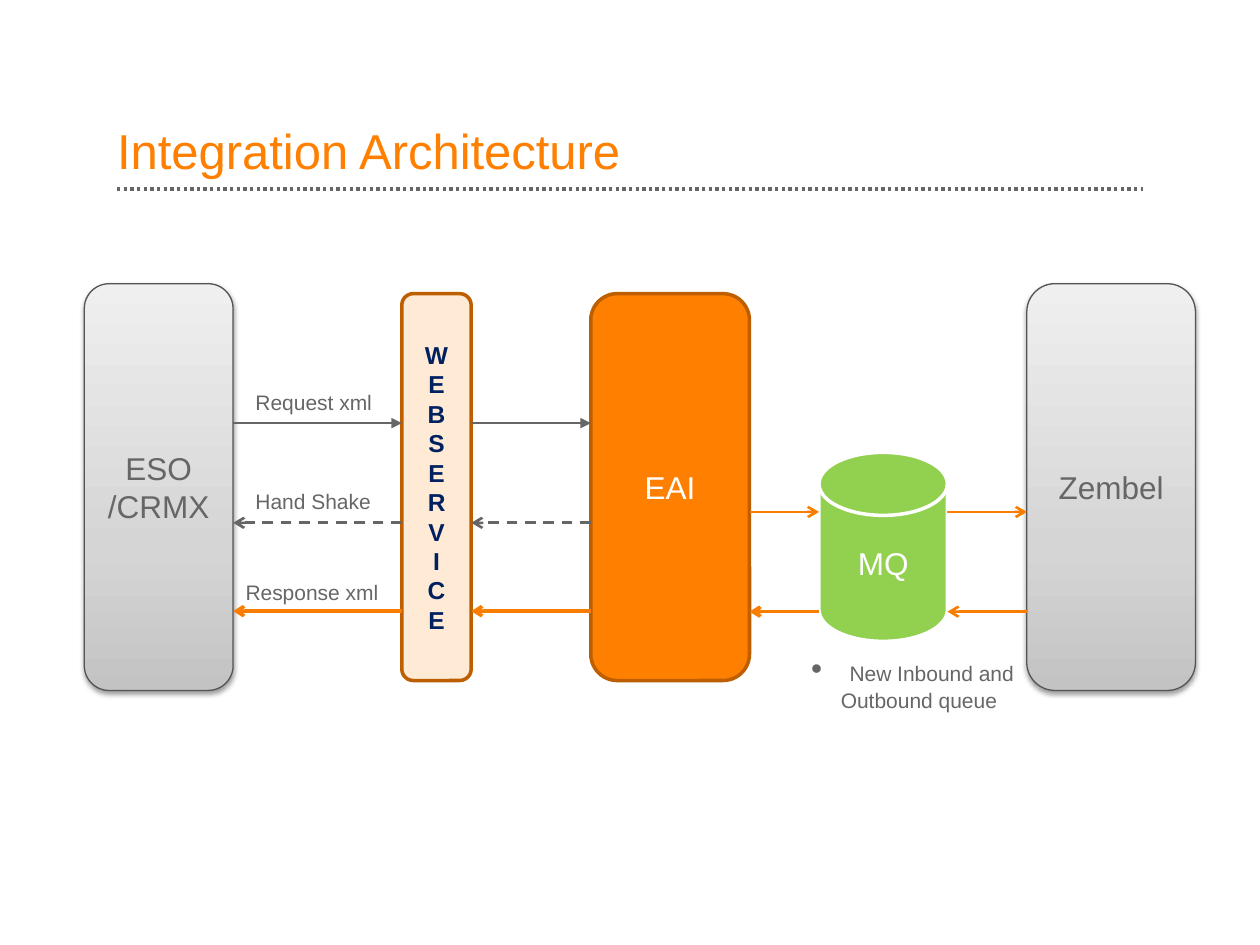
from pptx import Presentation
from pptx.util import Cm, Pt
from pptx.dml.color import RGBColor as RGB
from pptx.enum.dml import MSO_LINE_DASH_STYLE as Dash
from pptx.enum.shapes import MSO_CONNECTOR as Link, MSO_SHAPE as Form
from pptx.enum.text import MSO_ANCHOR as Anchor, PP_ALIGN as Align
from pptx.oxml import parse_xml
from pptx.oxml.ns import qn
from lxml.etree import SubElement as Sub

NS = 'xmlns:a="http://schemas.openxmlformats.org/drawingml/2006/main"'
COLORS = {
    "orange": "FF8000", "arrow": "F97D00", "rust": "BD5F00", "peach": "FFEAD5",
    "gray": "666666", "edge": "545454", "green": "92D050", "navy": "002060",
    "white": "FFFFFF",
}
STEEL = [(0, "C3C3C3"), (35, "D5D5D5"), (100, "EFEFEF")]


class Deck:
    """Holds the style and the current slide."""

    font = "Arial"

    def __init__(self, slide):
        """Keep the slide to draw on."""
        self.slide = slide
        self.shapes = slide.shapes

    def color(self, name):
        """Look up a named color."""
        return RGB.from_string(COLORS[name])

    def style(self, run, size, color, bold=False):
        """Format one run."""
        run.font.name, run.font.size = self.font, Pt(size)
        run.font.bold = bold
        run.font.color.rgb = self.color(color)

    def fill_text(self, frame, text, size, color, align=Align.LEFT, bold=False):
        """Put styled text into a frame."""
        frame.word_wrap = True
        frame.text = text
        for para in frame.paragraphs:
            para.alignment = align
            for run in para.runs:
                self.style(run, size, color, bold)

    def label(self, text, x, y, w, h, size=12, color="gray"):
        """Add a text box and return its frame."""
        frame = self.shapes.add_textbox(Cm(x), Cm(y), Cm(w), Cm(h)).text_frame
        self.fill_text(frame, text, size, color)
        return frame

    def block(self, text, x, y, w, h, fill, edge, width=2, ink="white",
              form=Form.ROUNDED_RECTANGLE, size=18, bold=False):
        """Add a filled shape with centered text."""
        shape = self.shapes.add_shape(form, Cm(x), Cm(y), Cm(w), Cm(h))
        shape.shadow.inherit = False
        shape.fill.solid()
        shape.fill.fore_color.rgb = self.color(fill)
        shape.line.color.rgb = self.color(edge)
        shape.line.width = Pt(width)
        shape.text_frame.vertical_anchor = Anchor.MIDDLE
        self.fill_text(shape.text_frame, text, size, ink, Align.CENTER, bold)
        return shape

    def steel(self, text, x, w):
        """Add a gray gradient block with a soft shadow."""
        shape = self.block(text, x, 5.72, w, 8.2, "white", "edge", 0.75, "gray")
        props = shape._element.spPr
        stops = "".join(f'<a:gs pos="{at * 1000}"><a:srgbClr val="{tone}"/></a:gs>'
                        for at, tone in STEEL)
        props.replace(props.find(qn("a:solidFill")), parse_xml(
            f'<a:gradFill {NS} rotWithShape="1"><a:gsLst>{stops}</a:gsLst>'
            '<a:lin ang="16200000" scaled="0"/></a:gradFill>'))
        props.find(qn("a:effectLst")).append(parse_xml(
            f'<a:outerShdw {NS} blurRad="{Pt(3.1)}" dist="{Pt(1.6)}" dir="5400000" '
            'rotWithShape="0"><a:srgbClr val="000000"><a:alpha val="38000"/>'
            '</a:srgbClr></a:outerShdw>'))

    def line(self, start, end, y, color, width=1.5, dash=None, head=None):
        """Add a level line, with an arrowhead at its end if named."""
        link = self.shapes.add_connector(Link.STRAIGHT, Cm(start), Cm(y), Cm(end), Cm(y))
        link.line.color.rgb = self.color(color)
        link.line.width = Pt(width)
        if dash:
            link.line.dash_style = dash
        if head:
            Sub(link.line._get_or_add_ln(), qn("a:tailEnd"), type=head)
        Sub(link._element.spPr, qn("a:effectLst"))


def main():
    """Build the slide and save it."""
    show = Presentation()
    show.slide_width, show.slide_height = Cm(25.4), Cm(19.05)
    deck = Deck(show.slides.add_slide(show.slide_layouts[6]))

    deck.line(2.36, 23.04, 3.81, "gray", 1.9, Dash.ROUND_DOT)
    title = deck.label("Integration Architecture", 2.36, 1.27, 20.68, 2.36, 28, "orange")
    title.margin_left = title.margin_right = title.margin_top = title.margin_bottom = 0
    title.vertical_anchor = Anchor.BOTTOM
    title.paragraphs[0].line_spacing = 0.9

    # Left and right edges of the columns
    client, web, hub = (1.7, 4.7), (8.1, 9.5), (11.91, 15.11)
    queue, store = (16.51, 19.1), (20.7, 24.1)

    deck.steel("ESO\n/CRMX", client[0], client[1] - client[0])
    deck.steel("Zembel", store[0], store[1] - store[0])
    deck.block("EAI", hub[0], 5.92, hub[1] - hub[0], 7.8, "orange", "rust")
    tower = deck.block("WEBSERVICE", web[0], 5.92, web[1] - web[0], 7.8,
                       "peach", "rust", ink="navy", size=14, bold=True)
    tower.text_frame._txBody.bodyPr.set("vert", "wordArtVert")
    deck.block("MQ", queue[0], 9.12, queue[1] - queue[0], 3.81, "green", "white",
               form=Form.FLOWCHART_MAGNETIC_DISK)

    for text, x, y in [("Request xml", 4.9, 7.72), ("Hand Shake", 4.9, 9.73),
                       ("Response xml", 4.7, 11.56)]:
        deck.label(text, x, y, 3.2, 0.76)

    # Each gap carries a request, a handshake and a response
    for left, right in [(client[1], web[0]), (web[1], hub[0])]:
        deck.line(left, right, 8.53, "gray", head="triangle")
        deck.line(right, left, 10.54, "gray", dash=Dash.DASH, head="arrow")
        deck.line(right, left, 12.32, "arrow", 2, head="arrow")
    for left, right, width in [(hub[1], queue[0], 2), (queue[1], store[0], 1.5)]:
        deck.line(left, right, 10.32, "arrow", head="arrow")
        deck.line(right, left, 12.33, "arrow", width, head="arrow")

    note = deck.label(" ", 16.1, 12.98, 4.6, 1.55, 18)
    para = note.paragraphs[0]
    run = para.add_run()
    run.text = "New Inbound and Outbound queue"
    deck.style(run, 12, "gray")
    props = para._p.get_or_add_pPr()
    props.set("marL", str(Cm(0.6)))
    props.set("indent", str(Cm(-0.6)))
    Sub(props, qn("a:buFont"), typeface=deck.font)
    Sub(props, qn("a:buChar"), char="•")

    show.save("out.pptx")


main()
